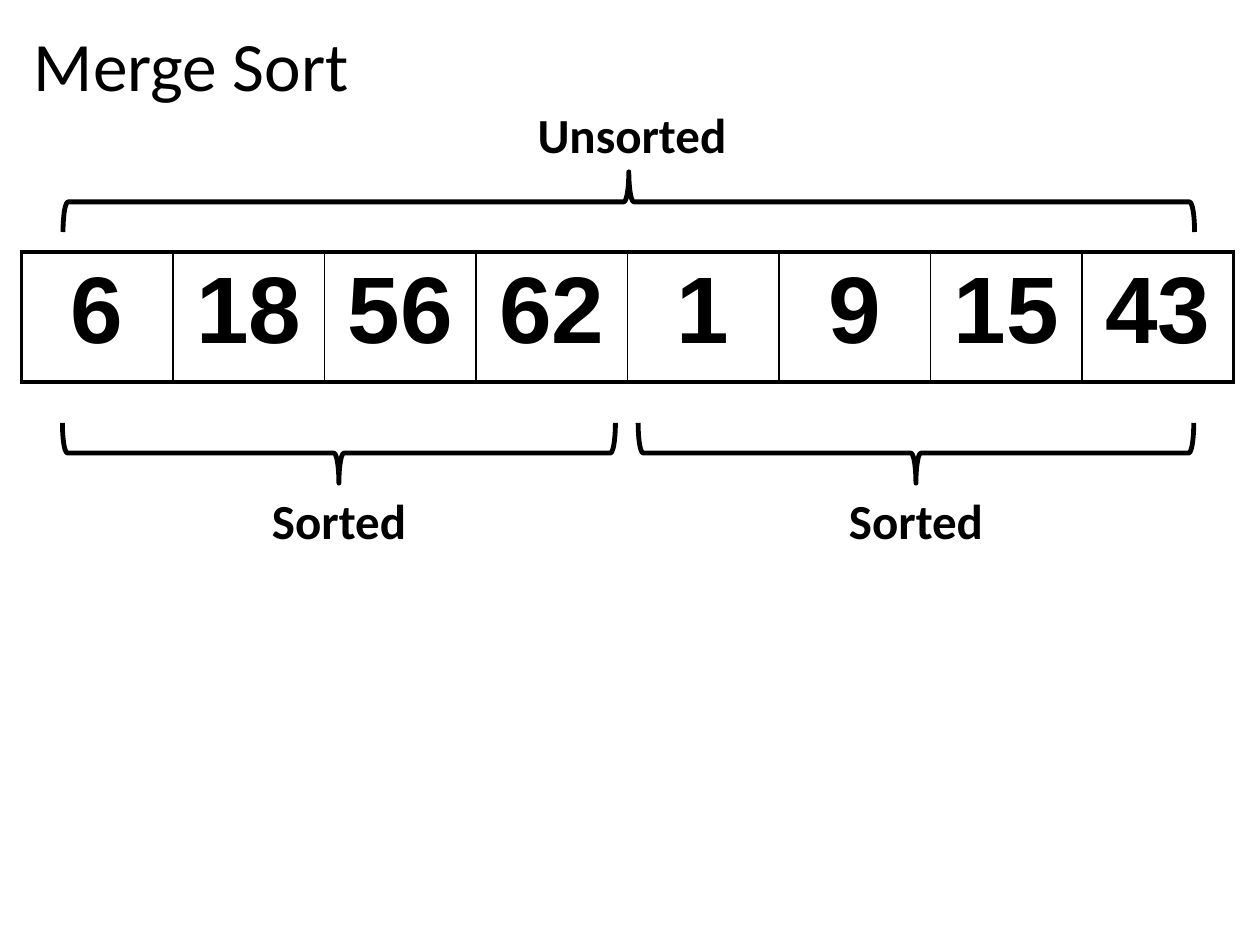
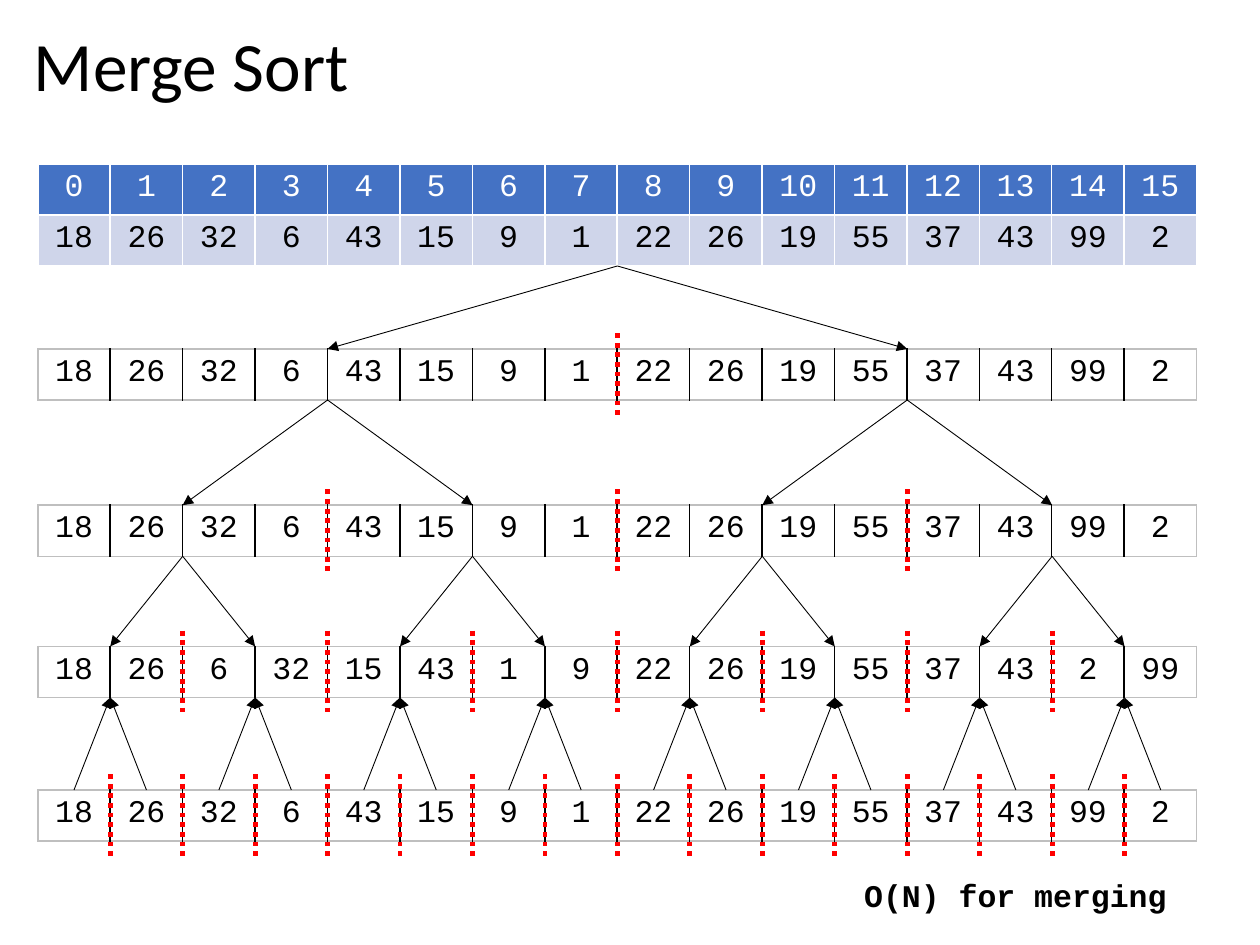
from pptx import Presentation
from pptx.dml.color import RGBColor
from pptx.enum.dml import MSO_LINE
from pptx.enum.shapes import MSO_CONNECTOR, MSO_SHAPE
from pptx.enum.text import MSO_ANCHOR, MSO_AUTO_SIZE, PP_ALIGN
from pptx.oxml.ns import qn
from pptx.util import Pt
from lxml.etree import SubElement

COLOURS = {
    "black": "000000",
    "white": "FFFFFF",
    "grey": "BFBFBF",
    "red": "FF0000",
    "blue": "4472C4",
    "pale": "CFD5EA",
}
HEADING, DIGITS, CODE = "Calibri", "Arial", "Courier New"
GRID_LEFT, CELL_WIDTH, CELL_HEIGHT = 21.6, 41.4, 29.2
DIVIDER_OVERHANG = 9

NUMBERS = [18, 26, 32, 6, 43, 15, 9, 1, 22, 26, 19, 55, 37, 43, 99, 2]
PAIRS = [n for i in range(0, 16, 2) for n in sorted(NUMBERS[i:i + 2])]
LEVELS = [
    (122.8, NUMBERS),
    (199.4, NUMBERS),
    (288.7, NUMBERS),
    (369.4, PAIRS),
    (451.4, NUMBERS),
]


def colour(name):
    return RGBColor.from_string(COLOURS[name])


def boundary(column):
    return GRID_LEFT + CELL_WIDTH * column


class Slides:
    """Holds the deck style and the page being drawn."""

    def __init__(self):
        self.deck = Presentation()
        self.deck.slide_width, self.deck.slide_height = Pt(720), Pt(540)
        self.page = None

    def start(self, title):
        self.page = self.deck.slides.add_slide(self.deck.slide_layouts[5])
        box = self.page.shapes.title
        box.left, box.top, box.width, box.height = Pt(12.2), Pt(13), Pt(692.6), Pt(53.3)
        frame = box.text_frame
        frame.auto_size = MSO_AUTO_SIZE.NONE
        frame.vertical_anchor = MSO_ANCHOR.MIDDLE
        para = frame.paragraphs[0]
        para.line_spacing = 0.9
        self.text(para, title, HEADING, 39.6, align=PP_ALIGN.LEFT)

    def text(self, para, words, font, size, bold=False, ink="black", align=PP_ALIGN.CENTER):
        para.alignment = align
        span = para.add_run()
        span.text = str(words)
        span.font.name, span.font.size, span.font.bold = font, Pt(size), bold
        span.font.color.rgb = colour(ink)

    def label(self, words, left, top, width, height, font, size, align=PP_ALIGN.CENTER):
        box = self.page.shapes.add_textbox(Pt(left), Pt(top), Pt(width), Pt(height))
        box.text_frame.word_wrap = True
        self.text(box.text_frame.paragraphs[0], words, font, size, True, align=align)

    def brace(self, centre, middle, length, rotation):
        depth = 34.4
        shape = self.page.shapes.add_shape(
            MSO_SHAPE.LEFT_BRACE, Pt(centre - depth / 2), Pt(middle - length / 2), Pt(depth), Pt(length))
        shape.rotation = rotation
        shape.shadow.inherit = False
        shape.fill.background()
        shape.line.color.rgb = colour("black")
        shape.line.width = Pt(2.75)

    def line(self, start, end, ink, width):
        line = self.page.shapes.add_connector(
            MSO_CONNECTOR.STRAIGHT, *(Pt(value) for value in (*start, *end)))
        line.line.color.rgb = colour(ink)
        line.line.width = Pt(width)
        SubElement(line._element.spPr, qn("a:effectLst"))
        return line

    def arrow(self, start, end):
        line = self.line(start, end, "black", 0.5)
        SubElement(line.get_or_add_ln(), qn("a:tailEnd"), type="triangle")

    def divider(self, x, top):
        line = self.line((x, top - DIVIDER_OVERHANG),
                         (x, top + CELL_HEIGHT + DIVIDER_OVERHANG), "red", 2.75)
        line.line.dash_style = MSO_LINE.ROUND_DOT

    def border(self, cell, side, ink, width):
        edge = SubElement(cell._tc.get_or_add_tcPr(), qn(f"a:ln{side}"), w=str(Pt(width)))
        fill = SubElement(edge, qn("a:solidFill"))
        SubElement(fill, qn("a:srgbClr"), val=COLOURS[ink])

    def grid(self, rows, left, top, cell_width, cell_height, font, size, bold=False,
             outer=("grey", 1), inner=("black", 1), styles=((None, "black"),)):
        last_row, last_column = len(rows) - 1, len(rows[0]) - 1
        table = self.page.shapes.add_table(
            len(rows), len(rows[0]), Pt(left), Pt(top),
            Pt(cell_width * len(rows[0])), Pt(cell_height * len(rows))).table
        table.first_row = table.horz_banding = False
        for column in table.columns:
            column.width = Pt(cell_width)
        for r, (values, (fill, ink)) in enumerate(zip(rows, styles)):
            table.rows[r].height = Pt(cell_height)
            for c, value in enumerate(values):
                cell = table.cell(r, c)
                on_edge = {"L": c == 0, "R": c == last_column, "T": r == 0, "B": r == last_row}
                for side, outside in on_edge.items():
                    self.border(cell, side, *(outer if outside else inner))
                if fill:
                    cell.fill.solid()
                    cell.fill.fore_color.rgb = colour(fill)
                else:
                    cell.fill.background()
                self.text(cell.text_frame.paragraphs[0], value, font, size, bold, ink)


def merge_step(slides):
    slides.start("Merge Sort")
    slides.grid([[6, 18, 56, 62, 1, 9, 15, 43]], 12.2, 144, 86.58, 74.2, DIGITS, 54,
                bold=True, outer=("black", 2.25))
    for centre, length in ((193.7, 316), (523.4, 317.5)):
        slides.brace(centre, 258.9, length, 270)
        slides.label("Sorted", centre - 53.3, 276.5, 106.6, 41, HEADING, 28)
    slides.label("Unsorted", 290.9, 56.2, 140.4, 41, HEADING, 28)
    slides.brace(359.3, 115.4, 646.6, 90)


def merge_tree(slides):
    slides.start("Merge Sort")
    slides.grid([range(16), NUMBERS], GRID_LEFT, 93.6, CELL_WIDTH, CELL_HEIGHT, CODE, 18,
                outer=("white", 1), inner=("white", 1),
                styles=(("blue", "white"), ("pale", "black")))
    for depth, (top, values) in enumerate(LEVELS[1:], 1):
        slides.grid([values], GRID_LEFT, top, CELL_WIDTH, CELL_HEIGHT, CODE, 18)
        size = 16 >> depth
        for column in range(size, 16, size):
            slides.divider(boundary(column), top)
        parent_bottom = LEVELS[depth - 1][0] + CELL_HEIGHT
        for column in range(size, 16, size * 2):
            parent = (boundary(column), parent_bottom)
            for offset in (-size / 2, size / 2):
                child = (boundary(column + offset), top)
                if depth == len(LEVELS) - 1:
                    slides.arrow(child, parent)
                else:
                    slides.arrow(parent, child)
    slides.label("O(N) for merging", 486.7, 496.8, 202.3, 28.8, CODE, 18, PP_ALIGN.LEFT)


def main():
    slides = Slides()
    merge_step(slides)
    merge_tree(slides)
    slides.deck.save("out.pptx")


if __name__ == "__main__":
    main()
